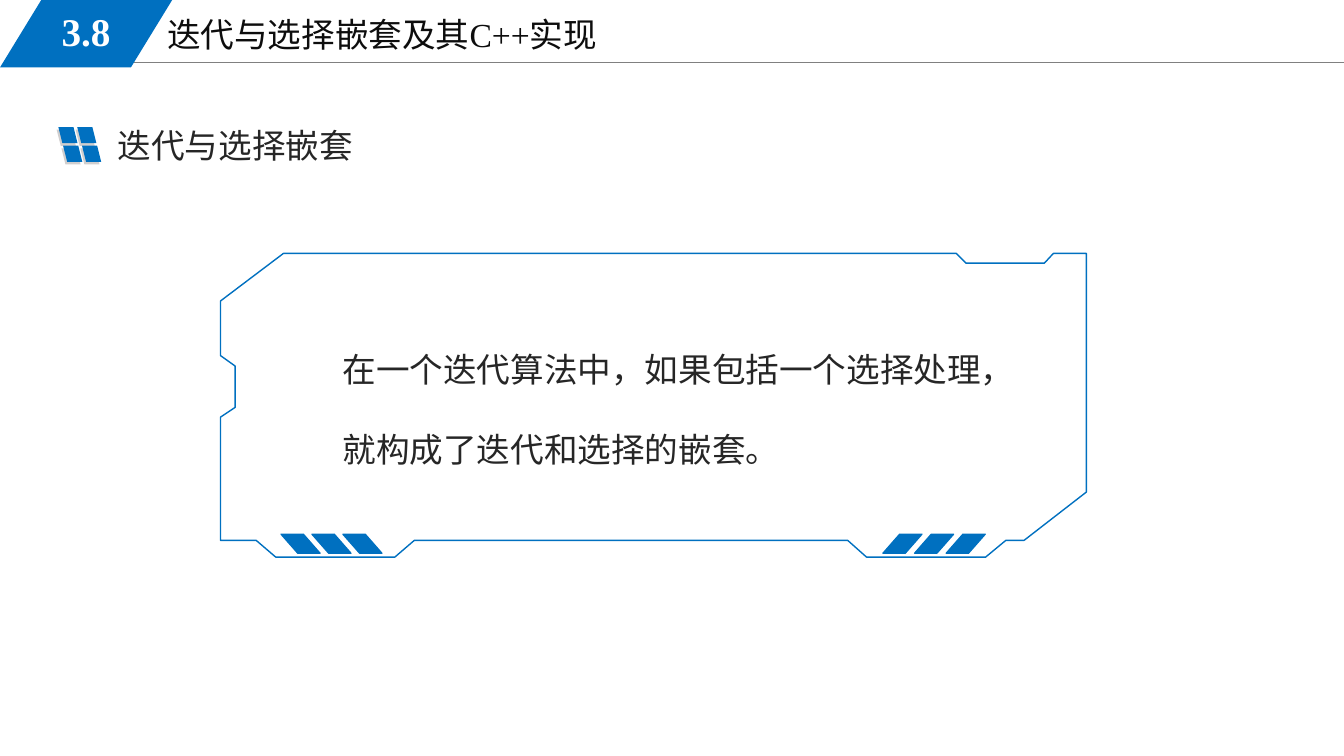
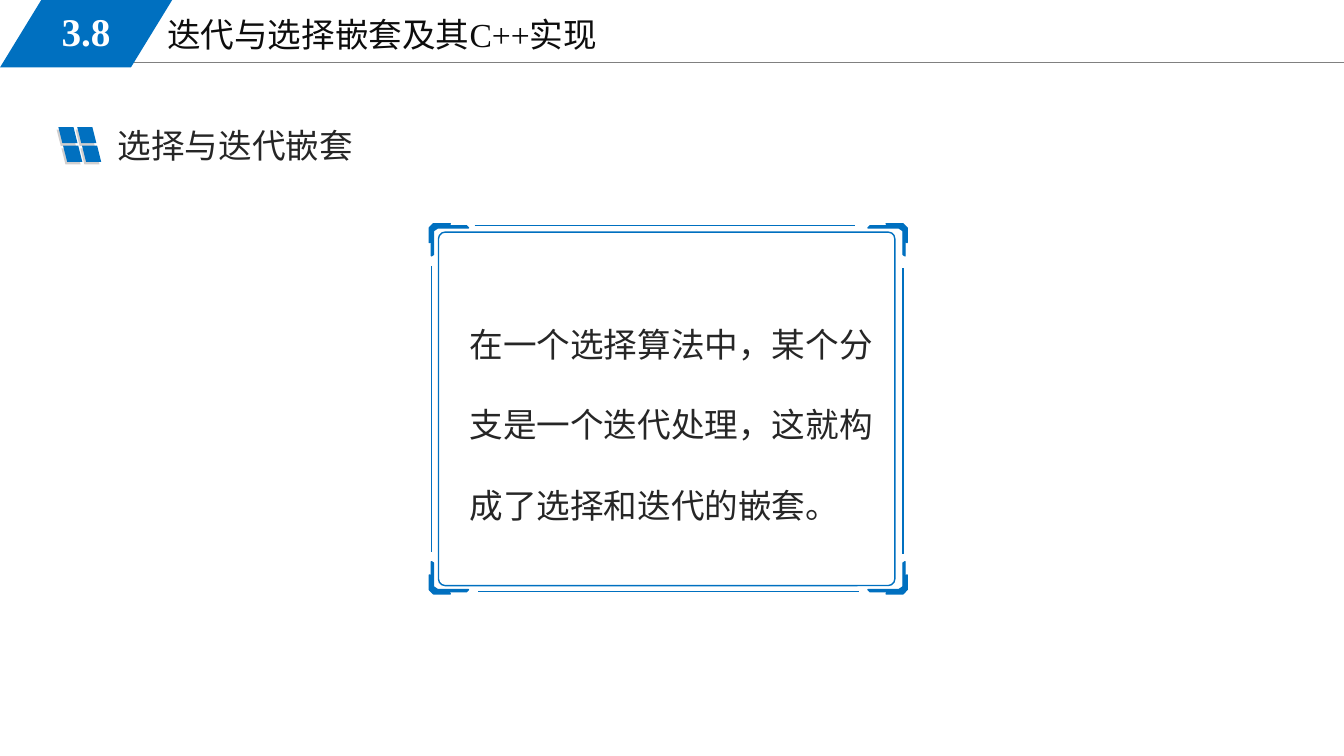
"""Build the two slides of section 3.8 on nesting iteration and selection."""
from itertools import product

from lxml import etree
from pptx import Presentation
from pptx import util as u
from pptx.dml import color
from pptx.enum import shapes, text
from pptx.oxml import ns

COLORS = {"blue": "0070C0", "gray": "808080", "shade": "D0CECE",
          "title": "0D0D0D", "body": "262626", "white": "FFFFFF"}
ROMAN, HAN = "Times New Roman", "Noto Sans CJK SC"
CARD_OUTLINE = [
    (619, 398), (704, 398), (718.5, 386), (731.5, 386), (776, 351.5),
    (776, 181), (752.5, 181), (746, 188), (690, 188), (683, 181),
    (202.5, 181), (157.5, 215), (157.5, 254), (168, 261.5), (168, 291),
    (157.5, 298), (157.5, 386), (183, 386), (197, 398), (282, 398),
    (296, 386), (605.5, 386)]
CORNER_MARK = [
    (3, 0), (15, 0), (13.5, 1.5), (26.5, 1.5), (28, 3), (6, 3), (3, 5),
    (3, 22), (1.5, 23), (1.5, 12.5), (0, 13.5), (0, 3)]


def rgb(name):
    return color.RGBColor.from_string(COLORS[name])


class Deck:
    def __init__(self):
        self.show = Presentation()
        self.show.slide_width, self.show.slide_height = u.Pt(960), u.Pt(540)
        self.slide = None

    def paint(self, shape, fill=None, line=None):
        shape.shadow.inherit = False
        if fill:
            shape.fill.solid()
            shape.fill.fore_color.rgb = rgb(fill)
        else:
            shape.fill.background()
        if line:
            shape.line.color.rgb = rgb(line)
            shape.line.width = u.Pt(1)
        else:
            shape.line.fill.background()

    def preset(self, kind, box, adjust=None, flip=False, **style):
        shape = self.slide.shapes.add_shape(kind, *map(u.Pt, box))
        if adjust is not None:
            shape.adjustments[0] = adjust
        if flip:
            shape._element.spPr.xfrm.set("flipH", "1")
        self.paint(shape, **style)

    def slant(self, box, **options):
        self.preset(shapes.MSO_SHAPE.PARALLELOGRAM, box, **options)

    def outline(self, points, **style):
        start, *rest = [(u.Pt(x), u.Pt(y)) for x, y in points]
        builder = self.slide.shapes.build_freeform(*start)
        builder.add_line_segments(rest, close=True)
        self.paint(builder.convert_to_shape(), **style)

    def rule(self, ends, tint="blue", width=1):
        rule = self.slide.shapes.add_connector(
            shapes.MSO_CONNECTOR.STRAIGHT, *map(u.Pt, ends))
        rule.line.color.rgb = rgb(tint)
        rule.line.width = u.Pt(width)
        etree.SubElement(rule._element.spPr, ns.qn("a:effectLst"))

    def label(self, words, box, tint="body", face=HAN, size=24, bold=False,
              paragraph_format=None, **frame_format):
        frame = self.slide.shapes.add_textbox(*map(u.Pt, box)).text_frame
        frame_format = {"word_wrap": True, **frame_format,
                        "auto_size": text.MSO_AUTO_SIZE.SHAPE_TO_FIT_TEXT}
        paragraph = frame.paragraphs[0]
        run = paragraph.add_run()
        run.text = words
        font_format = {"name": face, "size": u.Pt(size), "bold": bold}
        for target, values in ((frame, frame_format),
                               (paragraph, paragraph_format or {}),
                               (run.font, font_format)):
            for key, value in values.items():
                setattr(target, key, value)
        run.font.color.rgb = rgb(tint)
        properties = run._r.get_or_add_rPr()
        east = etree.SubElement(properties, ns.qn("a:ea"))
        east.set("typeface", HAN)

    def body(self, words, box, face):
        self.label(words, box, face=face, paragraph_format={"line_spacing": 2.0})

    def start(self, topic):
        self.slide = self.show.slides.add_slide(self.show.slide_layouts[6])
        self.rule((81, 44.5, 960, 44.5), "gray", 0.75)
        self.label("迭代与选择嵌套及其C++实现", (112.3, 6.5, 408, 36.5),
                   "title", ROMAN)
        self.slant((0, 0, 123, 48.2), adjust=0.612, fill="blue")
        self.label("3.8", (18, 1.4, 87, 42), "white", ROMAN, 28, True,
                   {"alignment": text.PP_ALIGN.CENTER},
                   vertical_anchor=text.MSO_ANCHOR.MIDDLE)
        for tint, left, top in (("shade", 40.5, 92.7), ("blue", 41.7, 90.8)):
            for column, row in product(range(2), repeat=2):
                self.slant((left + 13.5 * column + 3.4 * row,
                            top + 13.3 * row, 13.7, 11.5),
                           flip=True, fill=tint)
        self.label(topic, (77, 85.7, 206, 36))

    def notched_card(self):
        self.outline(CARD_OUTLINE, line="blue")
        for left, pitch, flip in ((200.8, 22.1, True), (630.7, 22.6, False)):
            for step in range(3):
                self.slant((left + pitch * step, 381.6, 27.8, 13.6),
                           adjust=0.878, flip=flip, fill="blue", line="blue")

    def cornered_card(self):
        left, top, right, bottom = 306.7, 159.8, 648, 424.2
        self.preset(shapes.MSO_SHAPE.ROUNDED_RECTANGLE,
                    (313.2, 165.8, 326, 252.5), adjust=0.019, line="blue")
        for (x, across), (y, down) in product(((left, 1), (right, -1)),
                                              ((top, 1), (bottom, -1))):
            self.outline([(x + across * dx, y + down * dy)
                          for dx, dy in CORNER_MARK], fill="blue", line="blue")
        for ends in ((339, 161.2, 611, 161.2), (341.5, 422.7, 613.5, 422.7),
                     (308.2, 190, 308.2, 394.5), (645, 191.5, 645, 396)):
            self.rule(ends)


def main():
    deck = Deck()
    deck.start("迭代与选择嵌套")
    deck.body("在一个迭代算法中，如果包括一个选择处理，就构成了迭代和选择的嵌套。",
              (237.6, 216.7, 473.8, 123.8), HAN)
    deck.notched_card()
    deck.start("选择与迭代嵌套")
    deck.body("在一个选择算法中，某个分支是一个迭代处理，这就构成了选择和迭代的嵌套。",
              (328.3, 198.7, 305.3, 172.8), ROMAN)
    deck.cornered_card()
    deck.show.save("out.pptx")


if __name__ == "__main__":
    main()
